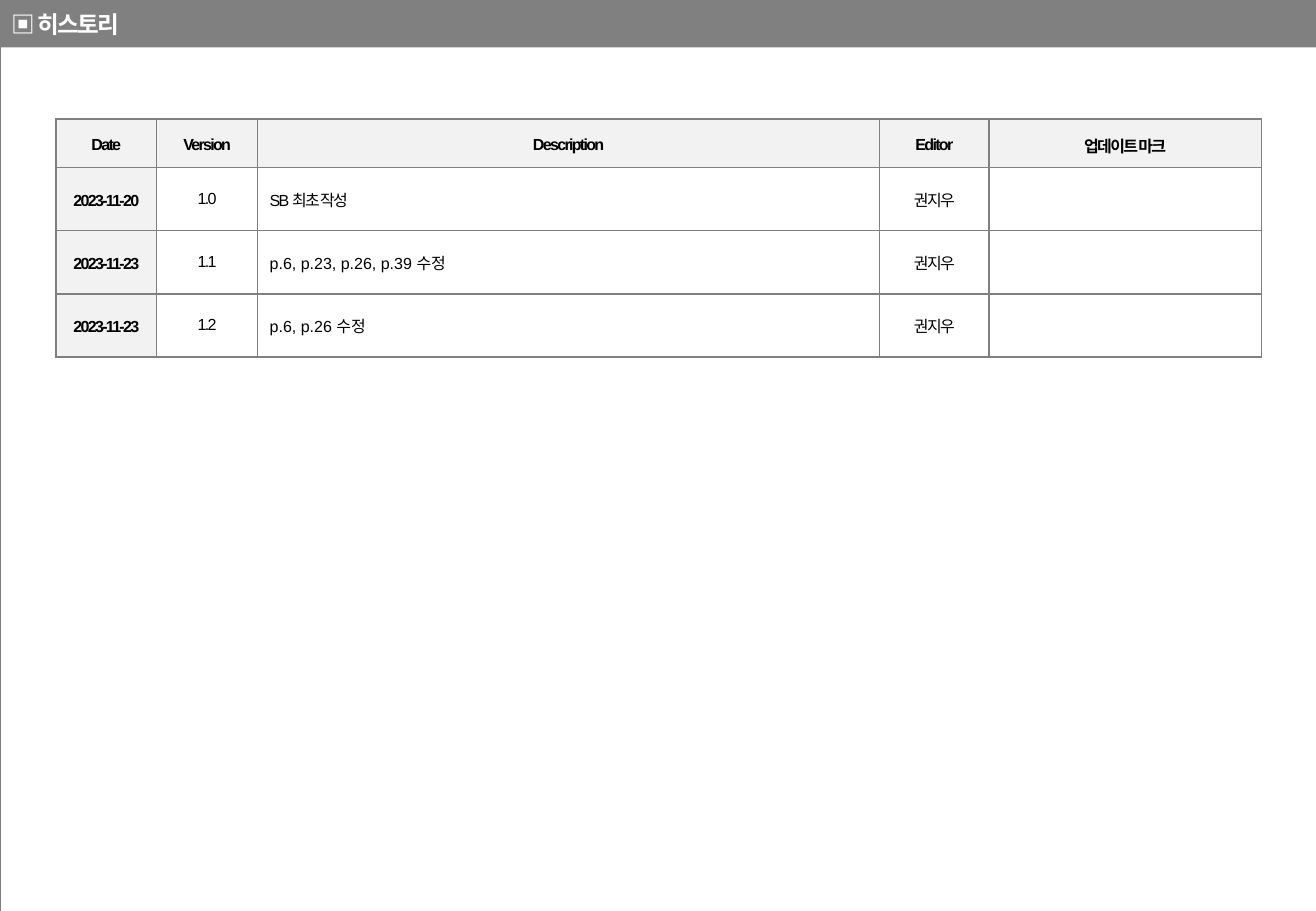
from lxml.etree import SubElement as Sub
from pptx import Presentation
from pptx.dml.color import RGBColor
from pptx.enum.shapes import MSO_SHAPE as Kind
from pptx.enum.text import MSO_ANCHOR as Anchor, PP_ALIGN as Align
from pptx.oxml import parse_xml
from pptx.oxml.ns import nsdecls, qn
from pptx.util import Inches, Pt

GRAY, PALE, WHITE, BLACK = "808080", "F2F2F2", "FFFFFF", "000000"
KOREAN = "Noto Sans CJK KR"
COLS = [0.83, 0.83, 5.12, 0.9, 2.24]
ROWS = [0.4, 0.52, 0.52, 0.52]
DATA = [
    ["Date", "Version", "Description", "Editor", "업데이트 마크"],
    ["2023-11-20", "1.0", "SB 최초 작성", "권지우", ""],
    ["2023-11-23", "1.1", "p.6, p.23, p.26, p.39 수정", "권지우", ""],
    ["2023-11-23", "1.2", "p.6, p.26 수정", "권지우", ""],
]


def paint(fill, color):
    fill.solid()
    fill.fore_color.rgb = RGBColor.from_string(color)


def write(frame, text, size=9.5, font="Arial", color=BLACK, bold=False,
          align=Align.CENTER, space=-1, lead=1.2):
    para = frame.paragraphs[0]
    para.alignment = align
    para.line_spacing = lead
    if not text:
        para.font.size = Pt(size)
        return
    run = para.add_run()
    run.text = text
    run.font.size = Pt(size)
    run.font.name = font
    run.font.bold = bold
    paint(run.font.fill, color)
    props = run.font._element
    props.set("spc", str(space * 100))
    Sub(props, qn("a:ea"), typeface=KOREAN)


def border(cell, width):
    props = cell._tc.get_or_add_tcPr()
    for spot, side in enumerate("LRTB"):
        props.insert(spot, parse_xml(
            f'<a:ln{side} {nsdecls("a")} w="{Pt(width)}"><a:solidFill>'
            f'<a:srgbClr val="{GRAY}"/></a:solidFill></a:ln{side}>'))


def add_grid(slide, left, top, cols, rows, line):
    grid = slide.shapes.add_table(
        len(rows), len(cols), Inches(left), Inches(top),
        Inches(sum(cols)), Inches(sum(rows))).table
    grid.first_row = grid.horz_banding = False
    for col, width in zip(grid.columns, cols):
        col.width = Inches(width)
    for row, height in zip(grid.rows, rows):
        row.height = Inches(height)
    for cell in grid.iter_cells():
        cell.fill.background()
        border(cell, line)
    return grid


def add_title(slide, left, top, width, height):
    bar = slide.shapes.add_shape(
        Kind.RECTANGLE, Inches(left), Inches(top), Inches(width), Inches(height))
    bar.shadow.inherit = False
    paint(bar.fill, GRAY)
    bar.line.fill.background()
    bar.text_frame.vertical_anchor = Anchor.MIDDLE
    write(bar.text_frame, "▣ 히스토리", size=14, font=KOREAN, color=WHITE,
          bold=True, align=Align.LEFT, lead=1)


def add_log(slide, left, top):
    grid = add_grid(slide, left, top, COLS, ROWS, 1)
    for r, row in enumerate(DATA):
        for c, text in enumerate(row):
            cell = grid.cell(r, c)
            head = r == 0 or c == 0
            note = r > 0 and c == 2
            paint(cell.fill, PALE if head else WHITE)
            cell.vertical_anchor = Anchor.MIDDLE
            if r and not c:
                cell.margin_left = cell.margin_right = 0
                cell.margin_top = cell.margin_bottom = 0
            else:
                cell.margin_left = cell.margin_right = Inches(0.1)
                cell.margin_top = Inches(0.05)
                cell.margin_bottom = Inches(0.05 if head else 0.08)
            write(cell.text_frame, text, bold=head,
                  align=Align.LEFT if note else Align.CENTER,
                  space=0 if note and r > 1 else -1)


def main():
    deck = Presentation()
    deck.slide_width, deck.slide_height = Inches(10.83), Inches(7.5)
    slide = deck.slides.add_slide(deck.slide_layouts[6])
    add_grid(slide, 0, 0, [10.84], [7.51], 0.25)
    add_title(slide, 0, 0, 10.83, 0.39)
    add_log(slide, 0.46, 0.98)
    deck.save("out.pptx")


if __name__ == "__main__":
    main()
